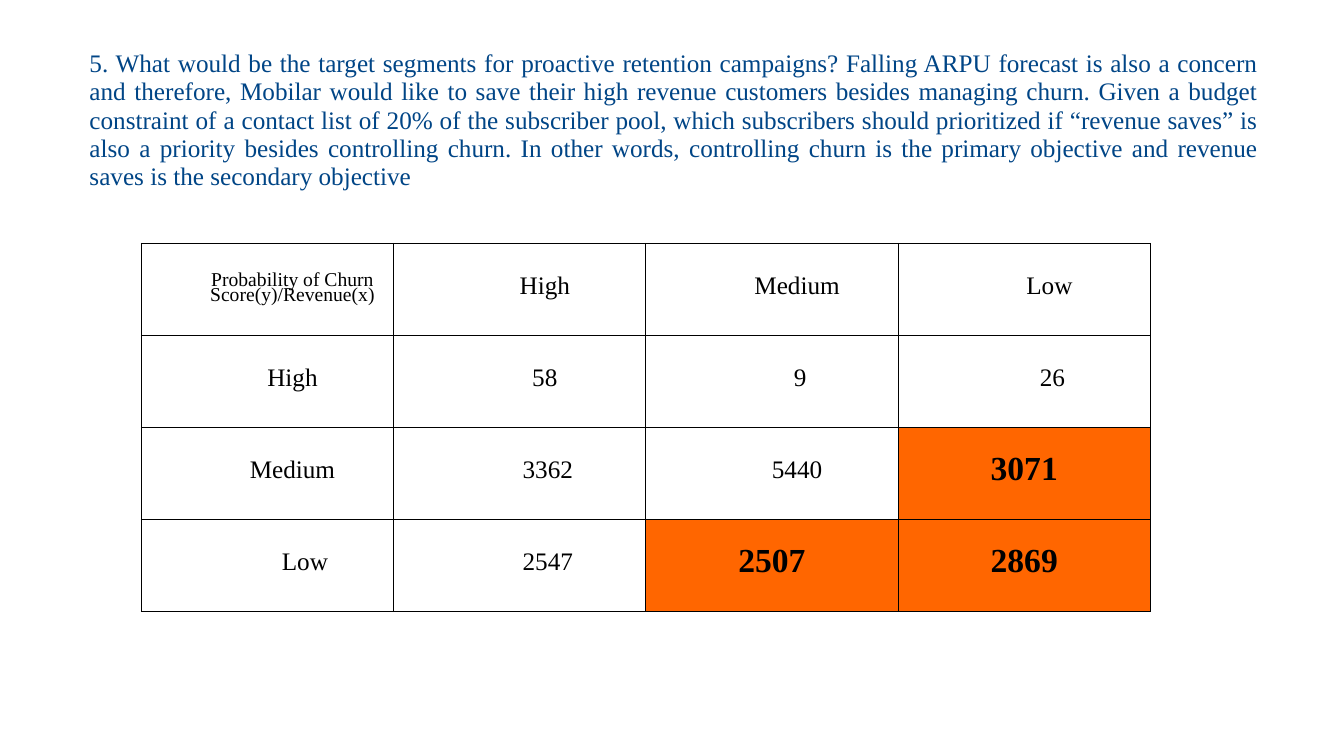
from dataclasses import dataclass

from lxml.etree import SubElement
from pptx import Presentation
from pptx.dml.color import RGBColor
from pptx.enum.text import MSO_ANCHOR as Anchor, PP_ALIGN as Align
from pptx.oxml.ns import qn
from pptx.slide import Slide
from pptx.table import _Cell as TableCell
from pptx.text.text import _Paragraph as Paragraph
from pptx.util import Emu, Inches, Pt

SLIDE_WIDTH, SLIDE_HEIGHT = Inches(13.34), Inches(7.5)
FONT_NAME = "Times New Roman"
BLACK = RGBColor(0x00, 0x00, 0x00)
BLUE = RGBColor(0x00, 0x45, 0x86)
ORANGE = RGBColor(0xFF, 0x66, 0x00)
BORDER_WIDTH = Pt(0.45)

QUESTION = (
    "5. What would be the target segments for proactive retention campaigns? "
    "Falling ARPU forecast is also a concern and therefore, Mobilar would like "
    "to save their high revenue customers besides managing churn. Given a budget "
    "constraint of a contact list of 20% of the subscriber pool, which subscribers "
    "should prioritized if “revenue saves” is also a priority besides controlling "
    "churn. In other words, controlling churn is the primary objective and revenue "
    "saves is the secondary objective"
)


@dataclass(frozen=True)
class Area:
    """A rectangle in percent of the slide's width and height."""
    left: float
    top: float
    width: float
    height: float

    def box(self) -> tuple[Emu, Emu, Emu, Emu]:
        return (across(self.left), down(self.top),
                across(self.width), down(self.height))


@dataclass(frozen=True)
class Segment:
    """One table cell; indent is in percent of the slide's width."""
    label: str
    indent: float = 3.75
    size: int = 18
    target: bool = False


def across(percent: float) -> Emu:
    return Emu(round(SLIDE_WIDTH * percent / 100))


def down(percent: float) -> Emu:
    return Emu(round(SLIDE_HEIGHT * percent / 100))


def shifted(label: str) -> Segment:
    """A count that sits slightly right of the column's labels."""
    return Segment(label, indent=4.2)


def target(label: str) -> Segment:
    return Segment(label, indent=0, size=24, target=True)


QUESTION_AREA = Area(5.92, 6, 88.46, 19.87)
MATRIX_AREA = Area(10.5, 32.15, 75.1, 48.67)
MATRIX = [
    [Segment("Probability of Churn Score(y)/Revenue(x)", size=14),
     Segment("High"), Segment("Medium"), Segment("Low")],
    [Segment("High"), Segment("58"), shifted("9"), shifted("26")],
    [Segment("Medium"), shifted("3362"), Segment("5440"), target("3071")],
    [Segment("Low", indent=5.6), shifted("2547"), target("2507"), target("2869")],
]


def set_all(item: object, values: dict[str, object]) -> None:
    for name, value in values.items():
        setattr(item, name, value)


def write(paragraph: Paragraph, text: str, size: int, color: RGBColor,
          bold: bool, layout: dict[str, object]) -> None:
    set_all(paragraph, layout)
    run = paragraph.add_run()
    run.text = text
    set_all(run.font, {"name": FONT_NAME, "size": Pt(size), "bold": bold})
    run.font.color.rgb = color


def add_borders(cell: TableCell) -> None:
    properties = cell._tc.get_or_add_tcPr()
    for side in ("lnL", "lnR", "lnT", "lnB"):
        line = SubElement(properties, qn(f"a:{side}"), w=str(BORDER_WIDTH))
        fill = SubElement(line, qn("a:solidFill"))
        SubElement(fill, qn("a:srgbClr"), val=str(BLACK))


def fill_segment(cell: TableCell, segment: Segment) -> None:
    set_all(cell, {
        "vertical_anchor": Anchor.MIDDLE,
        "margin_left": Inches(0.07), "margin_right": Inches(0.07),
        "margin_top": Inches(0.05), "margin_bottom": Inches(0.05),
    })
    add_borders(cell)
    if segment.target:
        cell.fill.solid()
        cell.fill.fore_color.rgb = ORANGE
    else:
        cell.fill.background()
    paragraph = cell.text_frame.paragraphs[0]
    write(paragraph, segment.label, segment.size, BLACK, segment.target,
          {"alignment": Align.CENTER, "line_spacing": 0.7})
    indent = paragraph._p.get_or_add_pPr()
    indent.set("marL", str(across(segment.indent)))
    indent.set("indent", "0")


def add_matrix(slide: Slide) -> None:
    frame = slide.shapes.add_table(len(MATRIX), len(MATRIX[0]), *MATRIX_AREA.box())
    table = frame.table
    set_all(table, {"first_row": False, "horz_banding": False})
    for row, segments in enumerate(MATRIX):
        for column, segment in enumerate(segments):
            fill_segment(table.cell(row, column), segment)


def add_question(slide: Slide) -> None:
    frame = slide.shapes.add_textbox(*QUESTION_AREA.box()).text_frame
    frame.word_wrap = True
    write(frame.paragraphs[0], QUESTION, 18, BLUE, False,
          {"alignment": Align.JUSTIFY, "line_spacing": 0.93})


def main() -> None:
    deck = Presentation()
    set_all(deck, {"slide_width": SLIDE_WIDTH, "slide_height": SLIDE_HEIGHT})
    slide = deck.slides.add_slide(deck.slide_layouts[6])
    add_matrix(slide)
    add_question(slide)
    deck.save("out.pptx")


if __name__ == "__main__":
    main()
